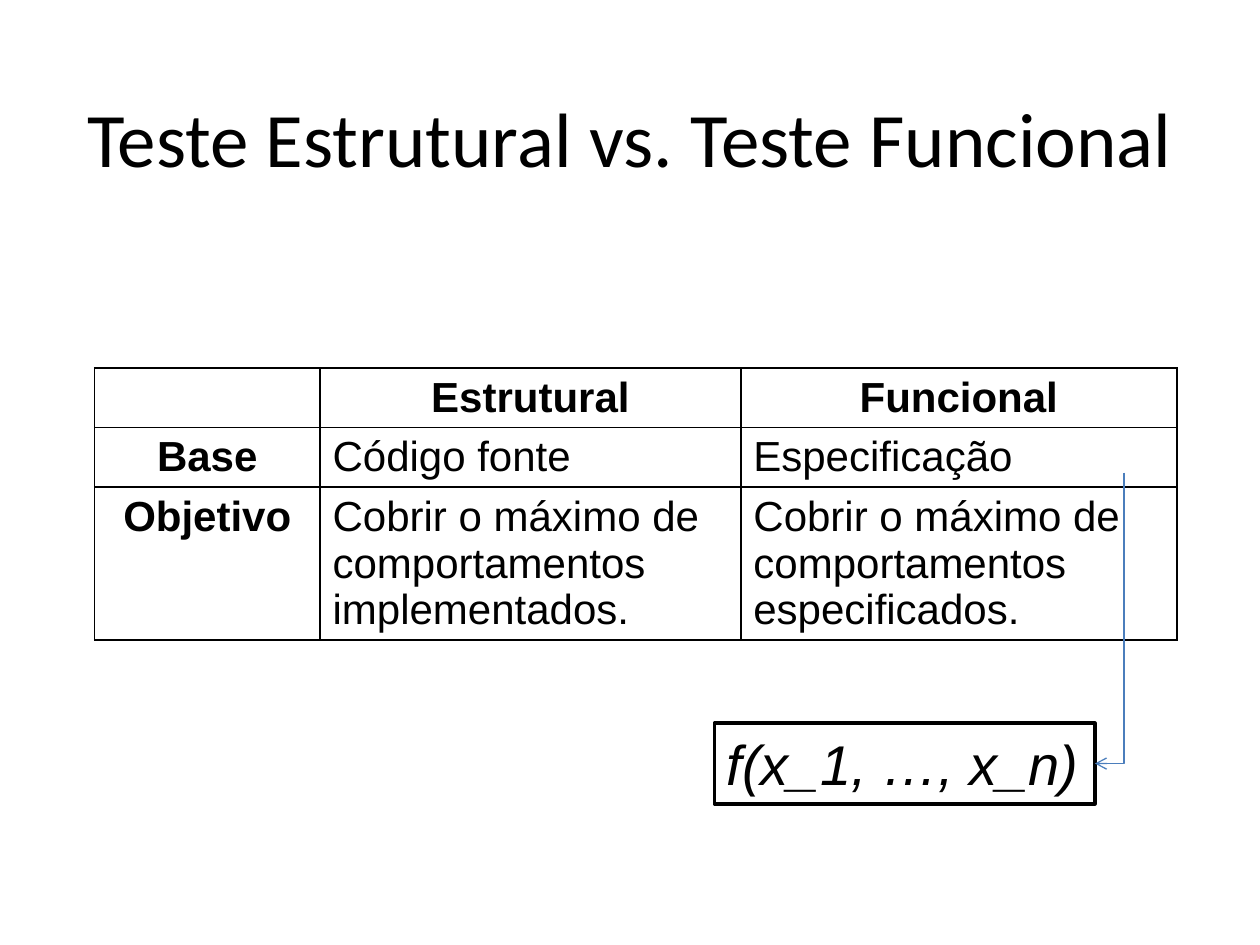
from lxml import etree
from pptx import Presentation
from pptx.dml.color import RGBColor
from pptx.enum import shapes, text
from pptx.oxml import ns
from pptx.util import Inches, Pt

BLACK = RGBColor(0, 0, 0)
WHITE = RGBColor(255, 255, 255)
BLUE = RGBColor(0x4B, 0x7E, 0xBC)

TITLE = "Teste Estrutural vs. Teste Funcional"
ROWS = [
    ("", "Estrutural", "Funcional"),
    ("Base", "Código fonte", "Especificação"),
    ("Objetivo", "Cobrir o máximo de comportamentos implementados.",
     "Cobrir o máximo de comportamentos especificados."),
]
FORMULA = "f(x_1, …, x_n)"

WIDTHS = (1.79, 3.34, 3.46)
HEIGHTS = (0.47, 0.47, 1.21)
CELL = {"name": "Arial", "size": Pt(24)}


def place(left, top, width, height):
    return [Inches(v) for v in (left, top, width, height)]


def write(frame, words, align, **form):
    para = frame.paragraphs[0]
    para.alignment = align
    run = para.add_run()
    run.text = words
    run.font.color.rgb = BLACK
    for key, value in form.items():
        setattr(run.font, key, value)


def add(parent, tag, **attrs):
    return etree.SubElement(parent, ns.qn(tag), **attrs)


def border(cell):
    props = cell._tc.get_or_add_tcPr()
    for side in "LRTB":
        line = add(props, f"a:ln{side}", w=str(Pt(1)))
        add(add(line, "a:solidFill"), "a:srgbClr", val=str(BLACK))


def add_title(slide):
    title = slide.shapes.title
    title.left, title.top, title.width, title.height = place(0.25, 0.3, 9.5, 1.25)
    frame = title.text_frame
    frame.word_wrap = True
    frame.vertical_anchor = text.MSO_ANCHOR.BOTTOM
    for side in ("left", "right", "top", "bottom"):
        setattr(frame, f"margin_{side}", Inches(0.1))
    write(frame, TITLE, text.PP_ALIGN.CENTER, name="Calibri", size=Pt(44))


def add_grid(slide):
    box = place(0.75, 2.92, sum(WIDTHS), sum(HEIGHTS))
    table = slide.shapes.add_table(len(ROWS), len(WIDTHS), *box).table
    table.first_row = table.horz_banding = False
    for col, width in zip(table.columns, WIDTHS):
        col.width = Inches(width)
    for row, height in zip(table.rows, HEIGHTS):
        row.height = Inches(height)
    for r, row in enumerate(ROWS):
        for c, words in enumerate(row):
            cell = table.cell(r, c)
            border(cell)
            cell.fill.background()
            head = r == 0 or c == 0
            align = text.PP_ALIGN.CENTER if head else text.PP_ALIGN.LEFT
            if words:
                write(cell.text_frame, words, align, bold=head, **CELL)


def add_formula(slide):
    box = slide.shapes.add_shape(shapes.MSO_SHAPE.RECTANGLE,
                                 *place(5.67, 5.74, 3.02, 0.64))
    box.shadow.inherit = False
    box.fill.solid()
    box.fill.fore_color.rgb = WHITE
    box.line.color.rgb = BLACK
    box.line.width = Pt(2)
    frame = box.text_frame
    frame.word_wrap = False
    frame.auto_size = text.MSO_AUTO_SIZE.SHAPE_TO_FIT_TEXT
    write(frame, FORMULA, text.PP_ALIGN.LEFT,
          name="Arial", size=Pt(32), italic=True)


def add_arrow(slide, start, end):
    """Draw an elbow that goes down from start, then left to end."""
    (x1, y1), (x2, y2) = start, end
    midx, midy = (x1 + x2) / 2, (y1 + y2) / 2
    run, rise = (y2 - y1) / 2, (x1 - x2) / 2
    ends = [Inches(v) for v in (midx - run, midy - rise, midx + run, midy + rise)]
    arrow = slide.shapes.add_connector(shapes.MSO_CONNECTOR.ELBOW, *ends)
    arrow.line.color.rgb = BLUE
    arrow.line.width = Pt(0.75)
    props = arrow._element.spPr
    props.find(ns.qn("a:xfrm")).set("rot", str(90 * 60000))
    props.find(ns.qn("a:prstGeom")).set("prst", "bentConnector2")
    add(props.find(ns.qn("a:ln")), "a:tailEnd", type="arrow")
    add(props, "a:effectLst")


def main():
    deck = Presentation()
    deck.slide_width, deck.slide_height = Inches(10), Inches(7.5)
    slide = deck.slides.add_slide(deck.slide_layouts[5])
    add_title(slide)
    add_grid(slide)
    add_formula(slide)
    add_arrow(slide, (8.92, 3.75), (8.69, 6.06))
    deck.save("out.pptx")


if __name__ == "__main__":
    main()
